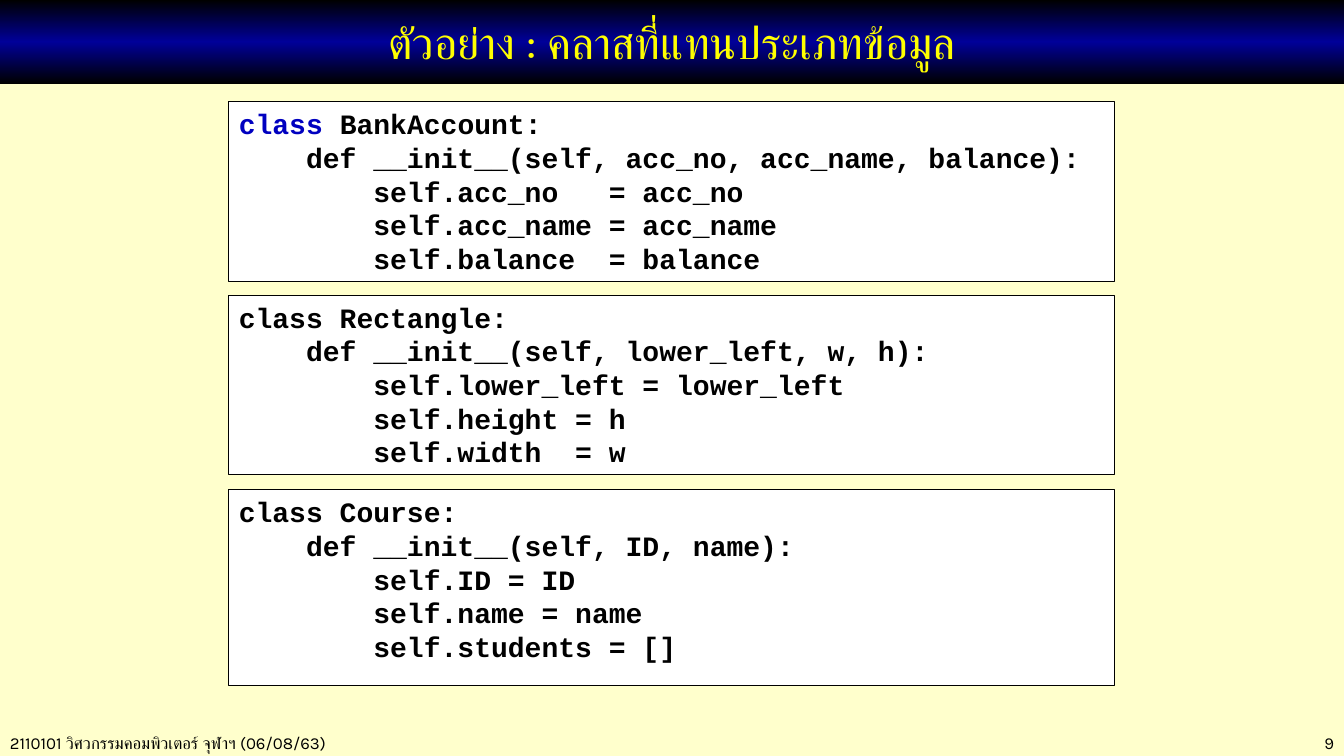
"""Build a slide showing three Python classes that represent data types."""
from copy import deepcopy

from pptx import Presentation
from pptx import util as u
from pptx.dml.color import RGBColor
from pptx.enum import text
from pptx.oxml.ns import qn

COLORS = {
    "background": "FFFFCC",
    "band_edge": "000000",
    "band_middle": "000099",
    "title": "FFFF00",
    "code": "000000",
    "keyword": "0000C0",
    "panel": "FFFFFF",
}
WIDTH, HEIGHT = u.Inches(13.33), u.Inches(7.5)
PANEL_LEFT, PANEL_WIDTH = 17.03, 65.87

BANK_ACCOUNT = """class BankAccount:
    def __init__(self, acc_no, acc_name, balance):
        self.acc_no   = acc_no
        self.acc_name = acc_name
        self.balance  = balance"""
RECTANGLE = """class Rectangle:
    def __init__(self, lower_left, w, h):
        self.lower_left = lower_left
        self.height = h
        self.width  = w"""
COURSE = """class Course:
    def __init__(self, ID, name):
        self.ID = ID
        self.name = name
        self.students = []"""


def color(name):
    """Return the named colour."""
    return RGBColor.from_string(COLORS[name])


def box(left, top, width, height):
    """Turn percentages of the slide into lengths."""
    return (int(WIDTH * left / 100), int(HEIGHT * top / 100),
            int(WIDTH * width / 100), int(HEIGHT * height / 100))


def format_text(shape, font_name, size, color_name, bold=False,
                alignment=text.PP_ALIGN.LEFT):
    """Format every run and paragraph of a shape."""
    for paragraph in shape.text_frame.paragraphs:
        paragraph.alignment = alignment
        for run in paragraph.runs:
            run.font.name = font_name
            run.font.size = u.Pt(size)
            run.font.bold = bold
            run.font.color.rgb = color(color_name)


def add_title(slide, title):
    """Fill the title placeholder and give it a gradient band."""
    shape = slide.shapes.title
    shape.left, shape.top, shape.width, shape.height = box(0, 0, 100, 11.07)
    shape.text_frame.text = title
    shape.text_frame.auto_size = text.MSO_AUTO_SIZE.NONE
    shape.text_frame.vertical_anchor = text.MSO_ANCHOR.MIDDLE
    format_text(shape, "Karla", 32, "title", alignment=text.PP_ALIGN.CENTER)
    shape.fill.gradient()
    shape.fill.gradient_angle = 90
    stop_list = shape.element.spPr.find(".//" + qn("a:gsLst"))
    stop_list.append(deepcopy(stop_list[0]))
    names = ("band_edge", "band_middle", "band_edge")
    for index, (stop, name) in enumerate(zip(shape.fill.gradient_stops, names)):
        stop.position = index / 2
        stop.color.rgb = color(name)


def add_text(slide, content, *place):
    """Add a wrapping text box at a place given in percentages."""
    shape = slide.shapes.add_textbox(*box(*place))
    shape.text_frame.word_wrap = True
    shape.text_frame.text = content
    return shape


def add_code_panel(slide, code, top, height):
    """Add a bordered panel of code."""
    panel = add_text(slide, code, PANEL_LEFT, top, PANEL_WIDTH, height)
    panel.fill.solid()
    panel.fill.fore_color.rgb = color("panel")
    panel.line.color.rgb = color("code")
    panel.line.width = u.Pt(0.75)
    format_text(panel, "Courier New", 20, "code", bold=True)
    return panel


def highlight_keyword(panel, keyword):
    """Colour the keyword that opens the panel's first line."""
    paragraph = panel.text_frame.paragraphs[0]
    first = paragraph.runs[0]
    rest = deepcopy(first._r)
    first._r.addnext(rest)
    paragraph.runs[1].text = first.text.removeprefix(keyword)
    first.text = keyword
    first.font.color.rgb = color("keyword")


def add_footer(slide, content, left, width, alignment):
    """Add one footer text at the bottom edge."""
    shape = add_text(slide, content, left, 96.27, width, 4)
    format_text(shape, "Karla", 12, "code", alignment=alignment)


def main():
    """Build and save the presentation."""
    presentation = Presentation()
    presentation.slide_width, presentation.slide_height = WIDTH, HEIGHT
    slide = presentation.slides.add_slide(presentation.slide_layouts[5])
    slide.background.fill.solid()
    slide.background.fill.fore_color.rgb = color("background")

    add_footer(slide, "2110101 วิศวกรรมคอมพิวเตอร์ จุฬาฯ (06/08/63)", 0, 39,
               text.PP_ALIGN.LEFT)
    add_footer(slide, "9", 86.25, 13.75, text.PP_ALIGN.RIGHT)
    add_title(slide, "ตัวอย่าง : คลาสที่แทนประเภทข้อมูล")
    bank_account = add_code_panel(slide, BANK_ACCOUNT, 13.47, 23.73)
    highlight_keyword(bank_account, "class ")
    add_code_panel(slide, RECTANGLE, 39.07, 23.73)
    add_code_panel(slide, COURSE, 64.8, 25.87)
    presentation.save("out.pptx")


if __name__ == "__main__":
    main()
